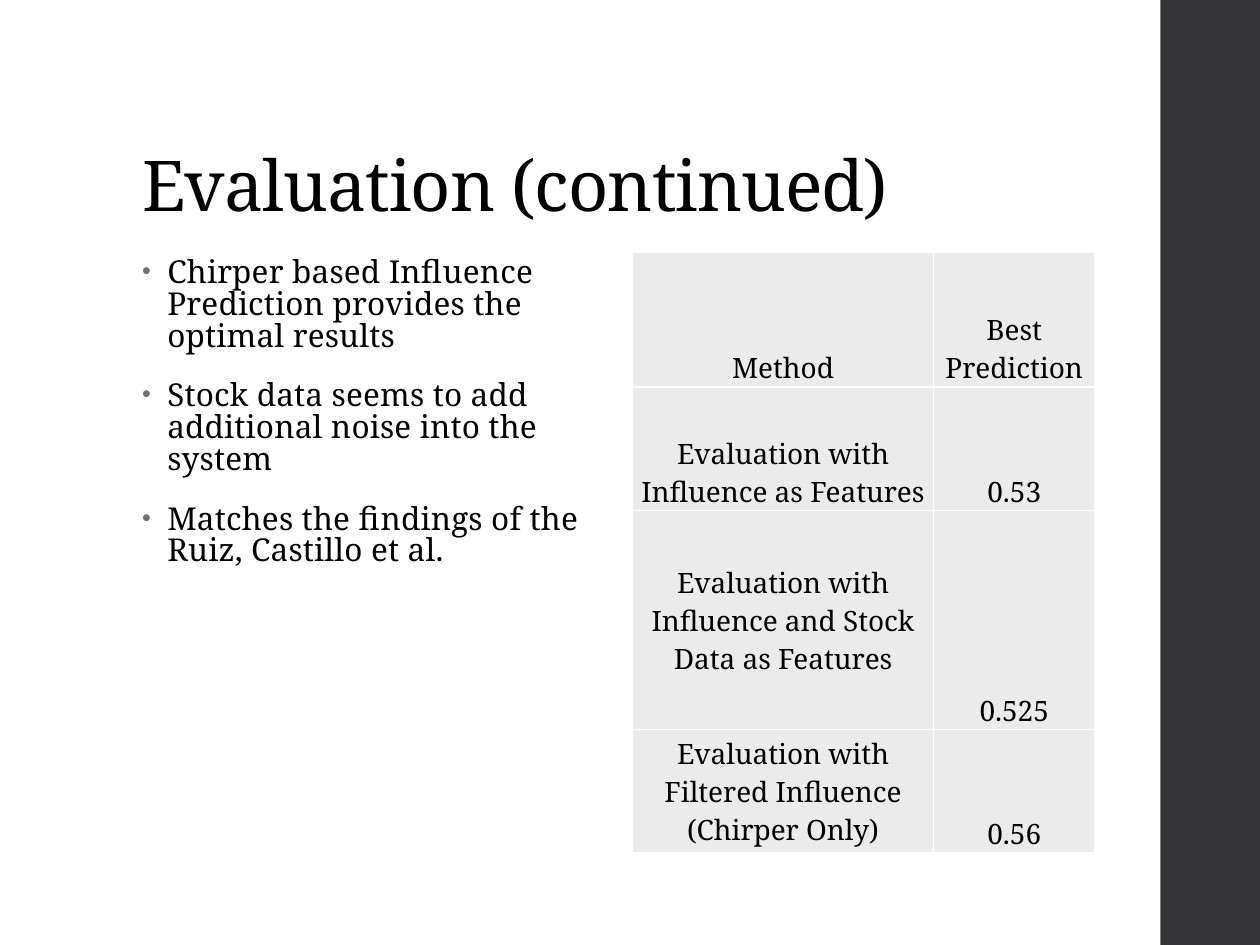
from lxml import etree
from pptx import Presentation
from pptx.dml.color import RGBColor
from pptx.enum.shapes import MSO_SHAPE
from pptx.enum.text import MSO_ANCHOR, PP_ALIGN
from pptx.oxml.ns import qn
from pptx.util import Inches, Pt

RECTANGLE = MSO_SHAPE.RECTANGLE
BOTTOM, MIDDLE, TOP = MSO_ANCHOR.BOTTOM, MSO_ANCHOR.MIDDLE, MSO_ANCHOR.TOP
CENTER = PP_ALIGN.CENTER
BLACK = RGBColor(0x00, 0x00, 0x00)
WHITE = RGBColor(0xFF, 0xFF, 0xFF)
CHARCOAL = RGBColor(0x35, 0x35, 0x37)
GRAY = RGBColor(0x6F, 0x6F, 0x74)
PALE = RGBColor(0xEB, 0xEB, 0xEB)
COLUMNS, ROWS = 100, 75

TITLE = {"line_spacing": 0.9}
BULLETS = {"line_spacing": 0.84, "space_before": Pt(14), "space_after": Pt(2)}
CELL = {"alignment": CENTER}
CELL_MARGINS = {
    "margin_left": Inches(0.01), "margin_right": Inches(0.01),
    "margin_top": Inches(0.01), "margin_bottom": 0,
}


def apply(target, values):
    for name, value in values.items():
        setattr(target, name, value)


def add_child(parent, tag, **attributes):
    return etree.SubElement(parent, qn(tag), attributes)


class SlideBuilder:
    font_name = "Noto Serif"

    def __init__(self, presentation):
        self.column = presentation.slide_width / COLUMNS
        self.row = presentation.slide_height / ROWS
        self.slide = presentation.slides.add_slide(presentation.slide_layouts[6])

    def area(self, left, top, width, height):
        return (round(left * self.column), round(top * self.row),
                round(width * self.column), round(height * self.row))

    def fill_paragraph(self, paragraph, text, size, values, tracking=0):
        apply(paragraph, values)
        run = paragraph.add_run()
        run.text = text
        apply(run.font, {"name": self.font_name, "size": Pt(size)})
        run.font.color.rgb = BLACK
        if tracking:
            run._r.get_or_add_rPr().set("spc", str(tracking))

    def bullet(self, paragraph):
        properties = paragraph._p.get_or_add_pPr()
        indent = Inches(0.2)
        properties.set("marL", str(indent))
        properties.set("indent", str(-indent))
        color = add_child(properties, "a:buClr")
        add_child(color, "a:srgbClr", val=str(GRAY))
        add_child(properties, "a:buSzPct", val="80000")
        add_child(properties, "a:buFont", typeface="Arial")
        add_child(properties, "a:buChar", char="•")

    def panel(self, area, color):
        shape = self.slide.shapes.add_shape(RECTANGLE, *self.area(*area))
        shape.shadow.inherit = False
        shape.fill.solid()
        shape.fill.fore_color.rgb = color
        shape.line.fill.background()

    def text(self, area, lines, size, values, tracking, anchor=TOP, bulleted=False):
        frame = self.slide.shapes.add_textbox(*self.area(*area)).text_frame
        apply(frame, {"word_wrap": True, "vertical_anchor": anchor})
        for index, line in enumerate(lines):
            paragraph = frame.add_paragraph() if index else frame.paragraphs[0]
            self.fill_paragraph(paragraph, line, size, values, tracking)
            if bulleted:
                self.bullet(paragraph)

    def borders(self, cell):
        properties = cell._tc.get_or_add_tcPr()
        for position, side in enumerate(("a:lnL", "a:lnR", "a:lnT", "a:lnB")):
            line = etree.Element(qn(side), w=str(Pt(1)))
            fill = add_child(line, "a:solidFill")
            add_child(fill, "a:srgbClr", val=str(WHITE))
            properties.insert(position, line)

    def table(self, area, widths, heights, records, middle_rows):
        shape = self.slide.shapes.add_table(len(heights), len(widths), *self.area(*area))
        table = shape.table
        for column, width in zip(table.columns, widths):
            column.width = round(width * self.column)
        for row, height in zip(table.rows, heights):
            row.height = round(height * self.row)
        for row_index, record in enumerate(records):
            for column_index, text in enumerate(record):
                cell = table.cell(row_index, column_index)
                centered = column_index == 0 and row_index in middle_rows
                apply(cell, CELL_MARGINS)
                cell.vertical_anchor = MIDDLE if centered else BOTTOM
                cell.fill.solid()
                cell.fill.fore_color.rgb = PALE
                self.borders(cell)
                self.fill_paragraph(cell.text_frame.paragraphs[0], text, 16, CELL)


presentation = Presentation()
apply(presentation, {"slide_width": Inches(10), "slide_height": Inches(7.5)})
builder = SlideBuilder(presentation)
builder.panel((92.1, 0, 8, ROWS), CHARCOAL)
builder.text((10.3, 4, 79.5, 14.5), ["Evaluation (continued)"], 40, TITLE, -50, BOTTOM)
builder.text(
    (10.3, 20, 36.7, 47.6),
    [
        "Chirper based Influence Prediction provides the optimal results",
        "Stock data seems to add additional noise into the system",
        "Matches the findings of the Ruiz, Castillo et al.",
    ],
    18, BULLETS, 10, bulleted=True,
)
builder.table(
    (50.2, 20, 36.7, 47.6), (23.9, 12.8), (10.7, 9.8, 17.4, 9.8),
    [
        ("Method", "Best Prediction"),
        ("Evaluation with Influence as Features", "0.53"),
        ("Evaluation with Influence and Stock Data as Features", "0.525"),
        ("Evaluation with Filtered Influence (Chirper Only)", "0.56"),
    ],
    middle_rows=(2, 3),
)
presentation.save("out.pptx")
